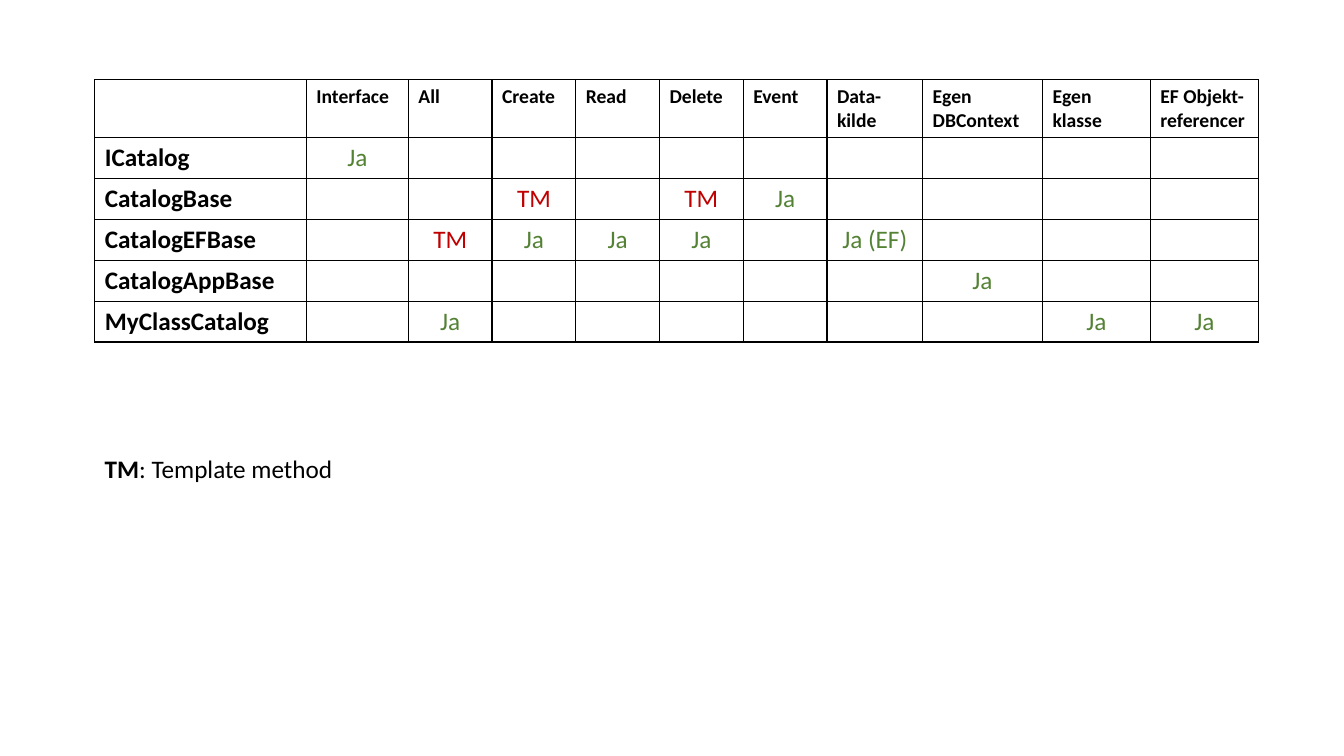
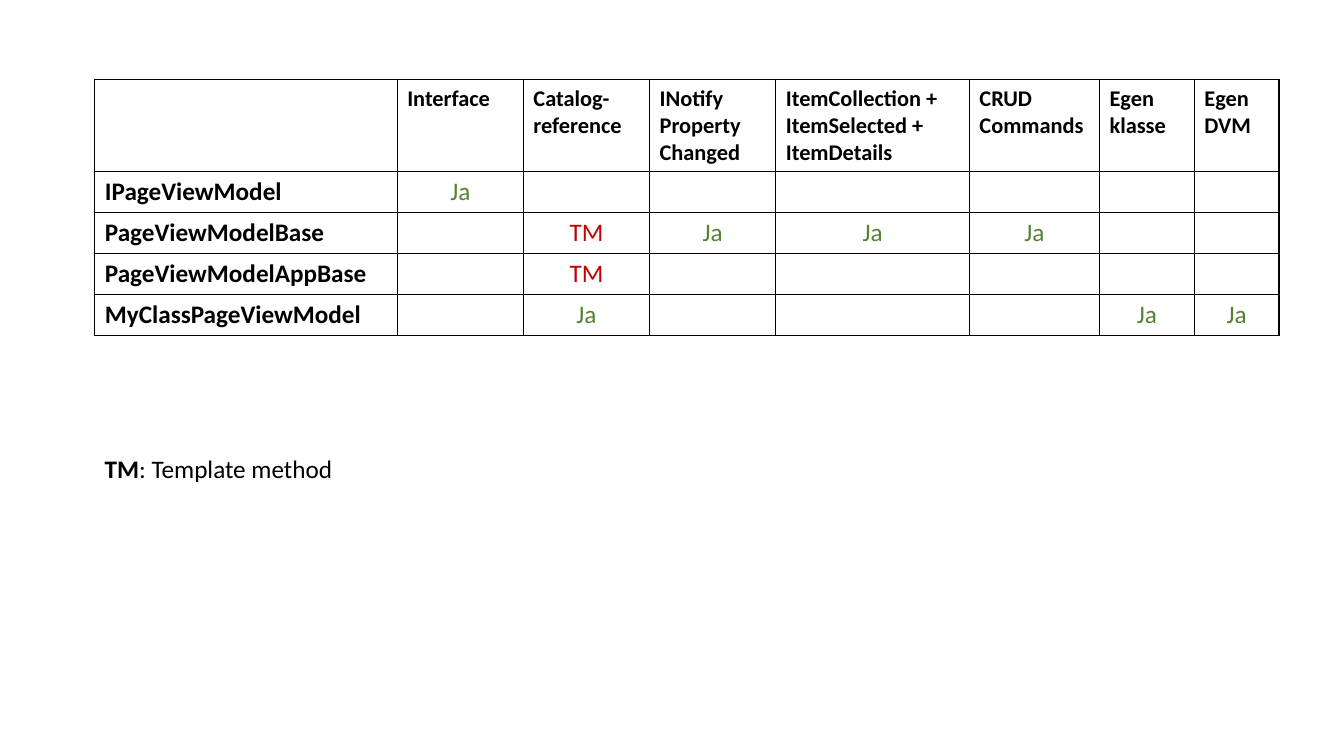
from lxml.etree import SubElement
from pptx import Presentation
from pptx.dml.color import RGBColor
from pptx.enum.text import MSO_AUTO_SIZE, PP_ALIGN
from pptx.oxml.ns import qn
from pptx.util import Cm, Pt

BLACK, WHITE, GREEN, RED = "000000", "FFFFFF", "548235", "C00000"
LEFT, TOP, ROW = 2.39, 2.01, 1.03
NOTE = (LEFT, 11.3, 6.3, 1.03)
BASE = {"name": "Calibri", "size": Pt(18), "bold": False}
BOLD = {**BASE, "bold": True}

CATALOG = {
    "widths": [5.33, 2.57] + [2.11] * 5 + [2.41, 3.02] + [2.72] * 2,
    "top": 1.46,
    "size": 14,
    "heads": ["Interface", "All", "Create", "Read", "Delete", "Event", "Data-\nkilde",
              "Egen DBContext", "Egen klasse", "EF Objekt-referencer"],
    "rows": {
        "ICatalog": {1: "Ja"},
        "CatalogBase": {3: "TM", 5: "TM", 6: "Ja"},
        "CatalogEFBase": {2: "TM", 3: "Ja", 4: "Ja", 5: "Ja", 7: "Ja (EF)"},
        "CatalogAppBase": {8: "Ja"},
        "MyClassCatalog": {2: "Ja", 9: "Ja", 10: "Ja"},
    },
}
MODEL = {
    "widths": [7.62] + [3.18] * 3 + [4.88, 3.28, 2.39, 2.13],
    "top": 2.32,
    "size": 16,
    "heads": ["Interface", "Catalog-reference", "INotify\nProperty\nChanged",
              "ItemCollection + ItemSelected + ItemDetails", "CRUD\nCommands",
              "Egen klasse", "Egen DVM"],
    "rows": {
        "IPageViewModel": {1: "Ja"},
        "PageViewModelBase": {2: "TM", 3: "Ja", 4: "Ja", 5: "Ja"},
        "PageViewModelAppBase": {2: "TM"},
        "MyClassPageViewModel": {2: "Ja", 6: "Ja", 7: "Ja"},
    },
}


def paint(target, color):
    """Give a font or fill colour from a hex string."""
    target.rgb = RGBColor.from_string(color)


def style(run, form, color=BLACK):
    """Apply a dict of font values and a colour to a run."""
    for key, value in form.items():
        setattr(run.font, key, value)
    paint(run.font.color, color)


def frame(cell):
    """Draw thin black borders around a cell and fill it white."""
    props = cell._tc.get_or_add_tcPr()
    for side in ("a:lnL", "a:lnR", "a:lnT", "a:lnB"):
        line = SubElement(props, qn(side), w=str(Pt(1)))
        fill = SubElement(line, qn("a:solidFill"))
        SubElement(fill, qn("a:srgbClr"), val=BLACK)
    cell.fill.solid()
    paint(cell.fill.fore_color, WHITE)


def write(cell, text, form, color=BLACK, align=PP_ALIGN.LEFT):
    """Put styled text in a cell, one paragraph a line."""
    cell.text = text
    for para in cell.text_frame.paragraphs:
        para.alignment = align
        for run in para.runs:
            style(run, form, color)


def matrix(slide, left, top, data):
    """Place a table of classes against their features."""
    widths, rows = data["widths"], data["rows"]
    high = data["top"] + ROW * len(rows)
    table = slide.shapes.add_table(len(rows) + 1, len(widths), Cm(left), Cm(top),
                                   Cm(sum(widths)), Cm(high)).table
    table.first_row = table.horz_banding = False
    for col, width in zip(table.columns, widths):
        col.width = Cm(width)
    for index, row in enumerate(table.rows):
        row.height = Cm(ROW if index else data["top"])
    for cell in table.iter_cells():
        frame(cell)
    for col, head in enumerate(data["heads"], 1):
        write(table.cell(0, col), head, {**BOLD, "size": Pt(data["size"])})
    for row, (name, marks) in enumerate(rows.items(), 1):
        write(table.cell(row, 0), name, BOLD)
        for col, mark in marks.items():
            color = RED if mark == "TM" else GREEN
            write(table.cell(row, col), mark, BASE, color, PP_ALIGN.CENTER)


def legend(slide, box):
    """Explain the short form in a text box."""
    text = slide.shapes.add_textbox(*map(Cm, box)).text_frame
    text.word_wrap = False
    text.auto_size = MSO_AUTO_SIZE.SHAPE_TO_FIT_TEXT
    for words, form in (("TM", BOLD), (": Template method", BASE)):
        run = text.paragraphs[0].add_run()
        run.text = words
        style(run, form)


def main():
    """Build both slides and save them."""
    deck = Presentation()
    deck.slide_width, deck.slide_height = Cm(33.87), Cm(19.05)
    for data in (CATALOG, MODEL):
        slide = deck.slides.add_slide(deck.slide_layouts[6])
        matrix(slide, LEFT, TOP, data)
        legend(slide, NOTE)
    deck.save("out.pptx")


if __name__ == "__main__":
    main()
